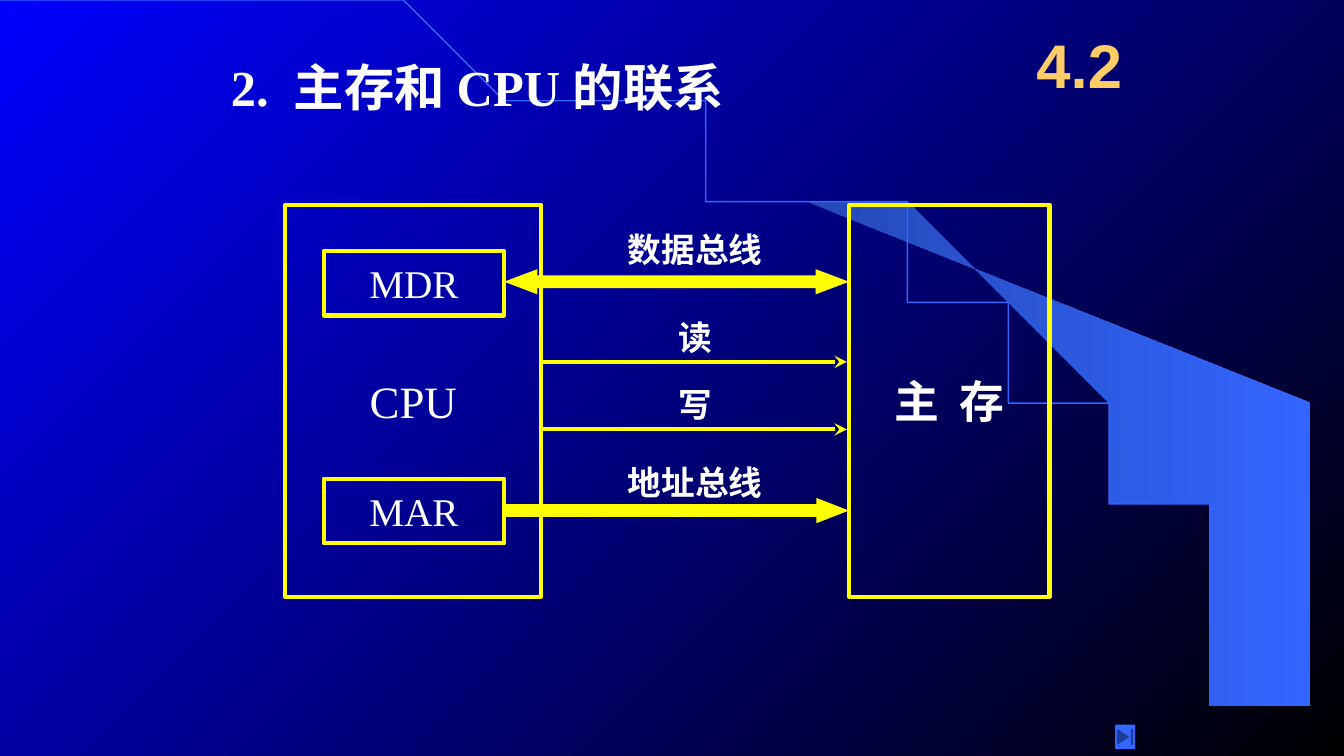
import math
from lxml import etree
from pptx import Presentation
from pptx import util as u
from pptx.dml.color import RGBColor
from pptx.enum import shapes, text
from pptx.oxml import ns

WHITE = RGBColor(0xFF, 0xFF, 0xFF)
YELLOW = RGBColor(0xFF, 0xFF, 0x00)
GOLD = RGBColor(0xFF, 0xCC, 0x66)
SKY = RGBColor(0x33, 0x66, 0xFF)
DEEP_SKY = RGBColor(0x24, 0x49, 0xB6)
BLUE = RGBColor(0x00, 0x00, 0xFF)
BLACK = RGBColor(0x00, 0x00, 0x00)
SERIF, SANS, CHINESE = "Times New Roman", "Arial", "Noto Sans CJK SC"
SHAPE = shapes.MSO_SHAPE


def set_gradient(fill, start, end, angle):
    fill.gradient()
    fill.gradient_angle = angle
    for stop, color, position in zip(fill.gradient_stops, (start, end), (0, 1)):
        stop.color.rgb = color
        stop.position = position


def write(shape, words, size, font=SERIF, color=WHITE, bold=False,
          align=text.PP_ALIGN.CENTER, anchor=text.MSO_ANCHOR.MIDDLE,
          wrap=False, margins=(0, 0)):
    frame = shape.text_frame
    frame.text = words
    frame.auto_size = text.MSO_AUTO_SIZE.NONE
    frame.word_wrap = wrap
    frame.vertical_anchor = anchor
    frame.margin_left = frame.margin_right = u.Inches(margins[0])
    frame.margin_top = frame.margin_bottom = u.Inches(margins[1])
    paragraph = frame.paragraphs[0]
    paragraph.alignment = align
    run = paragraph.runs[0]
    run.font.size = u.Pt(size)
    run.font.bold = bold
    run.font.color.rgb = color
    run.font.name = font
    east_asian = etree.SubElement(run.font._element, ns.qn("a:ea"))
    east_asian.set("typeface", CHINESE)


def add_shape(slide, kind, box, fill=None, line=None):
    shape = slide.shapes.add_shape(kind, *map(u.Inches, box))
    shape.shadow.inherit = False
    if fill is None:
        shape.fill.background()
    else:
        shape.fill.solid()
        shape.fill.fore_color.rgb = fill
    if line is None:
        shape.line.fill.background()
    else:
        shape.line.color.rgb = line
        shape.line.width = u.Pt(3)
    return shape


def add_outline(slide, points, close):
    builder = slide.shapes.build_freeform(*points[0], scale=u.Inches(1))
    builder.add_line_segments(points[1:], close=close)
    shape = builder.convert_to_shape()
    shape.shadow.inherit = False
    return shape


def add_backdrop(slide, width, height):
    set_gradient(slide.background.fill, BLUE, BLACK, 315)

    # Shaded wedge at the right
    wedge = add_outline(slide, [
        (12.27, 7.48), (13.31, 7.49), (13.31, 4.23), (7.86, 1.73), (8.32, 1.99),
        (8.7, 2.22), (9.13, 2.5), (9.55, 2.8), (10.16, 3.3), (10.7, 3.84),
        (11.1, 4.31), (11.44, 4.79), (11.71, 5.28), (11.91, 5.72),
        (12.04, 6.09), (12.17, 6.56), (12.23, 6.96)], True)
    set_gradient(wedge.fill, DEEP_SKY, SKY, 0)
    wedge.line.fill.background()

    # Quarter ellipse
    steps = 90
    angles = [math.pi / 2 * step / steps for step in range(steps + 1)]
    arc = add_outline(slide, [(width * math.sin(angle), height * (1 - math.cos(angle)))
                              for angle in angles], False)
    arc.fill.background()
    arc.line.color.rgb = SKY
    arc.line.width = u.Pt(1)


def add_heading(slide, left, top, width, height):
    title = slide.shapes.title
    slide.shapes.element.append(title.element)  # in front of the backdrop
    title.left, title.top, title.width, title.height = map(
        u.Inches, (left, top, width, height))
    write(title, "2.  主存和 CPU 的联系", 36, bold=True, align=text.PP_ALIGN.LEFT,
          anchor=text.MSO_ANCHOR.TOP, wrap=True, margins=(0.1, 0.05))


def add_label(slide, box, words, size, **style):
    write(slide.shapes.add_textbox(*map(u.Inches, box)), words, size, **style)


def add_signal(slide, start, end, y):
    signal = slide.shapes.add_connector(
        shapes.MSO_CONNECTOR.STRAIGHT, *map(u.Inches, (start, y, end, y)))
    signal.line.color.rgb = YELLOW
    signal.line.width = u.Pt(3)
    tail = etree.SubElement(signal.line._get_or_add_ln(), ns.qn("a:tailEnd"))
    tail.set("type", "stealth")
    etree.SubElement(signal.element.spPr, ns.qn("a:effectLst"))


def add_diagram(slide, left, top, height):
    cpu_width, memory_width, gap = 2.54, 1.99, 3.05
    cpu_right = left + cpu_width
    memory_left = cpu_right + gap

    # CPU and its registers
    cpu = add_shape(slide, SHAPE.RECTANGLE, (left, top, cpu_width, height), line=YELLOW)
    write(cpu, "CPU", 32)
    register_left, register_width = left + 0.38, 1.79
    for name, offset in (("MDR", 0.46), ("MAR", 2.72)):
        register = add_shape(slide, SHAPE.RECTANGLE,
                             (register_left, top + offset, register_width, 0.64),
                             line=YELLOW)
        write(register, name, 28)

    # Main memory
    memory = add_shape(slide, SHAPE.RECTANGLE,
                       (memory_left, top, memory_width, height), line=YELLOW)
    write(memory, "主  存", 32, bold=True)

    # Data and address buses
    bus_left = register_left + register_width
    for kind, offset, head in ((SHAPE.LEFT_RIGHT_ARROW, 0.64, 1.32),
                               (SHAPE.RIGHT_ARROW, 2.91, 1.29)):
        bus = add_shape(slide, kind, (bus_left, top + offset, memory_left - bus_left, 0.25),
                        fill=YELLOW)
        bus.adjustments[0] = 0.5
        bus.adjustments[1] = head

    # Read and write signals
    for offset in (1.56, 2.23):
        add_signal(slide, cpu_right + 0.02, memory_left - 0.02, top + offset)

    # Names above the arrows
    name_width = 1.35
    name_left = cpu_right + (gap - name_width) / 2
    for name, offset in (("数据总线", 0.24), ("读", 1.11), ("写", 1.78), ("地址总线", 2.55)):
        add_label(slide, (name_left, top + offset, name_width, 0.4), name, 24,
                  font=CHINESE, bold=True)


def build_slide(presentation):
    slide = presentation.slides.add_slide(presentation.slide_layouts[5])
    add_backdrop(slide, 12.26, 7.49)
    add_heading(slide, 2.19, 0.51, 5.16, 1.3)
    add_diagram(slide, 2.83, 2.03, 3.89)

    # Section number and end button
    add_label(slide, (10.08, 0.17, 1.25, 0.92), "4.2", 44, font=SANS, color=GOLD,
              bold=True, wrap=True, margins=(0.1, 0.05))
    add_shape(slide, SHAPE.ACTION_BUTTON_END, (11.06, 7.19, 0.2, 0.24), fill=SKY)


def main():
    presentation = Presentation()
    presentation.slide_width = u.Inches(13.33)
    presentation.slide_height = u.Inches(7.5)
    build_slide(presentation)
    presentation.save("out.pptx")


if __name__ == "__main__":
    main()
